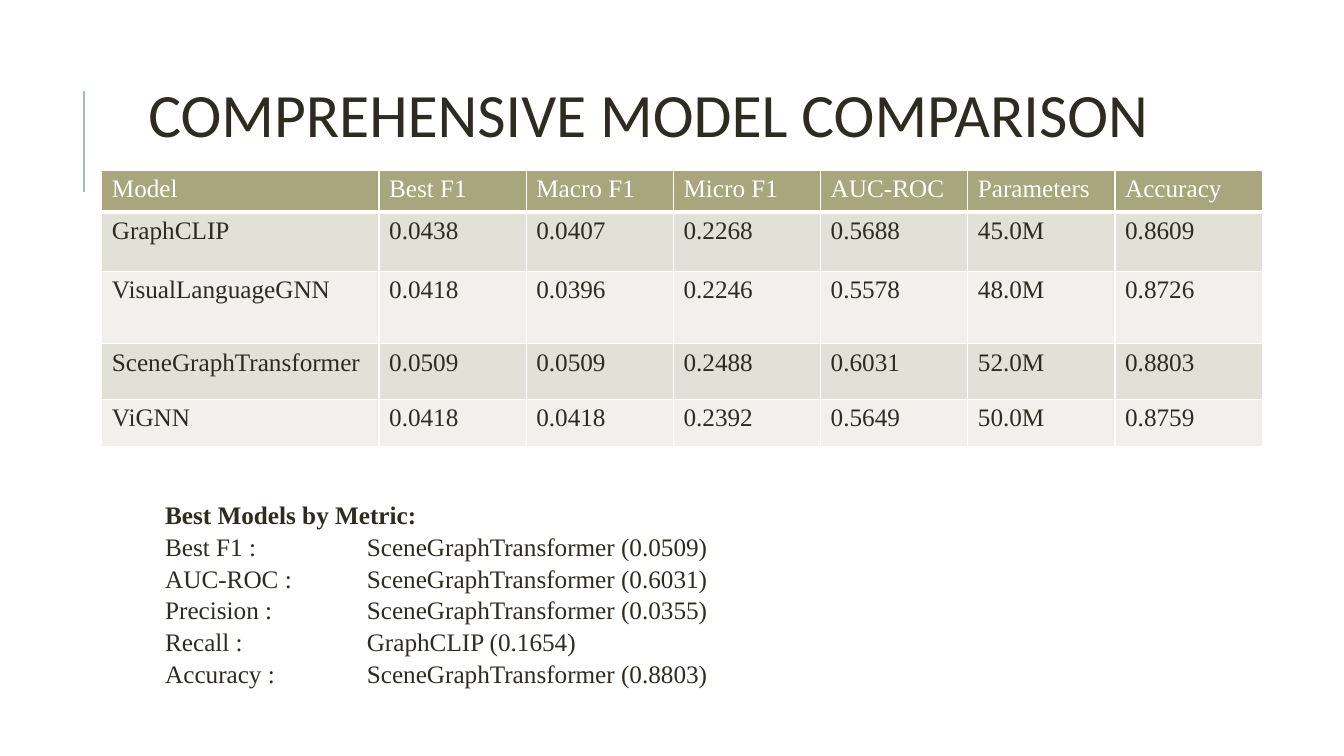
import dataclasses

import lxml.etree
import pptx
import pptx.dml.color
import pptx.enum.shapes
import pptx.enum.text
import pptx.oxml.ns
import pptx.util

Inches = pptx.util.Inches
Color = pptx.dml.color.RGBColor.from_string
Anchor = pptx.enum.text.MSO_ANCHOR
Align = pptx.enum.text.PP_ALIGN


@dataclasses.dataclass(frozen=True)
class Theme:
    ink: str = "2E2B21"
    paper: str = "FFFFFF"
    accent: str = "9CBEBD"
    header: str = "A9A57C"
    bands: tuple = ("E2E1D7", "F1F0EC")
    title_font: str = "Calibri"
    body_font: str = "Times New Roman"
    title_size: int = 44
    body_size: int = 18


class SlideBuilder:
    """Draws themed elements on one slide."""

    def __init__(self, slide, theme):
        self.slide = slide
        self.theme = theme

    def apply(self, target, values):
        for name, value in values.items():
            setattr(target, name, value)

    def add_text(self, para, text, font, size, color, bold=False):
        span = para.add_run()
        span.text = text
        self.apply(span.font, {"name": font, "size": pptx.util.Pt(size), "bold": bold})
        span.font.color.rgb = Color(color)

    def add_body_text(self, para, text, color, bold=False):
        self.add_text(para, text, self.theme.body_font, self.theme.body_size, color, bold)

    def add_child(self, parent, tag, **attributes):
        return lxml.etree.SubElement(parent, pptx.oxml.ns.qn(tag), attributes)

    def add_title(self, text, left, top, width, height):
        title = self.slide.shapes.title
        self.apply(title, {"left": Inches(left), "top": Inches(top),
                           "width": Inches(width), "height": Inches(height)})
        self.apply(title.text_frame, {"vertical_anchor": Anchor.MIDDLE, "word_wrap": True,
                                      "auto_size": pptx.enum.text.MSO_AUTO_SIZE.NONE})
        para = title.text_frame.paragraphs[0]
        self.apply(para, {"alignment": Align.CENTER, "line_spacing": 0.9})
        self.add_text(para, text, self.theme.title_font, self.theme.title_size, self.theme.ink)

    def add_line(self, left, top, right, bottom, width):
        line = self.slide.shapes.add_connector(
            pptx.enum.shapes.MSO_CONNECTOR.STRAIGHT,
            *map(Inches, (left, top, right, bottom)))
        line.line.color.rgb = Color(self.theme.accent)
        line.line.width = pptx.util.Pt(width)
        self.add_child(line.element.spPr, "a:effectLst")

    def add_border(self, cell, side, points):
        border = self.add_child(cell._tc.get_or_add_tcPr(), f"a:ln{side}",
                                w=str(pptx.util.Pt(points)))
        fill = self.add_child(border, "a:solidFill")
        self.add_child(fill, "a:srgbClr", val=self.theme.paper)

    def add_table(self, rows, left, top, widths, heights):
        frame = self.slide.shapes.add_table(
            len(rows), len(widths), Inches(left), Inches(top),
            Inches(sum(widths)), Inches(sum(heights)))
        table = frame.table
        self.apply(table, {"first_row": True, "horz_banding": True})
        for column, width in zip(table.columns, widths):
            column.width = Inches(width)
        for row, height in zip(table.rows, heights):
            row.height = Inches(height)
        for row_index, values in enumerate(rows):
            for column_index, value in enumerate(values):
                self.fill_cell(table.cell(row_index, column_index), value, row_index)

    def fill_cell(self, cell, value, row_index):
        is_header = row_index == 0
        thickness = {"L": 1, "R": 1, "T": 3 if row_index == 1 else 1, "B": 3 if is_header else 1}
        for side, points in thickness.items():
            self.add_border(cell, side, points)
        cell.fill.solid()
        band = self.theme.bands[(row_index - 1) % 2]
        cell.fill.fore_color.rgb = Color(self.theme.header if is_header else band)
        color = self.theme.paper if is_header else self.theme.ink
        self.add_body_text(cell.text_frame.paragraphs[0], value, color)

    def add_summary(self, heading, entries, left, top, width, height, tab):
        box = self.slide.shapes.add_shape(
            pptx.enum.shapes.MSO_SHAPE.RECTANGLE,
            *map(Inches, (left, top, width, height)))
        box.shadow.inherit = False
        box.fill.solid()
        box.fill.fore_color.rgb = Color(self.theme.paper)
        box.line.fill.background()
        frame = box.text_frame
        self.apply(frame, {"vertical_anchor": Anchor.MIDDLE, "word_wrap": True})
        lines = [heading] + [f"{metric} :\t{winner}" for metric, winner in entries]
        for index, text in enumerate(lines):
            para = frame.add_paragraph() if index else frame.paragraphs[0]
            self.apply(para, {"alignment": Align.LEFT, "line_spacing": 1.05})
            stops = self.add_child(para._p.get_or_add_pPr(), "a:tabLst")
            self.add_child(stops, "a:tab", pos=str(Inches(tab)), algn="l")
            self.add_body_text(para, text, self.theme.ink, bold=index == 0)


MODEL_ROWS = [
    ("Model", "Best F1", "Macro F1", "Micro F1", "AUC-ROC", "Parameters", "Accuracy"),
    ("GraphCLIP", "0.0438", "0.0407", "0.2268", "0.5688", "45.0M", "0.8609"),
    ("VisualLanguageGNN", "0.0418", "0.0396", "0.2246", "0.5578", "48.0M", "0.8726"),
    ("SceneGraphTransformer", "0.0509", "0.0509", "0.2488", "0.6031", "52.0M", "0.8803"),
    ("ViGNN", "0.0418", "0.0418", "0.2392", "0.5649", "50.0M", "0.8759"),
]
BEST_MODELS = [
    ("Best F1", "SceneGraphTransformer (0.0509)"),
    ("AUC-ROC", "SceneGraphTransformer (0.6031)"),
    ("Precision", "SceneGraphTransformer (0.0355)"),
    ("Recall", "GraphCLIP (0.1654)"),
    ("Accuracy", "SceneGraphTransformer (0.8803)"),
]


def main():
    deck = pptx.Presentation()
    deck.slide_width, deck.slide_height = Inches(13.33), Inches(7.5)
    page = SlideBuilder(deck.slides.add_slide(deck.slide_layouts[5]), Theme())
    page.add_line(0.83, 1.9, 0.83, 0.9, 1.5)
    page.add_title("COMPREHENSIVE MODEL COMPARISON", 1.12, 0.64, 10.63, 1.05)
    page.add_table(MODEL_ROWS, 1.01, 1.69, [2.75] + [1.46] * 6,
                   [0.41, 0.59, 0.72, 0.55, 0.47])
    page.add_summary("Best Models by Metric:", BEST_MODELS, 1.54, 4.77, 5.84, 2.23, tab=2)
    deck.save("out.pptx")


if __name__ == "__main__":
    main()
